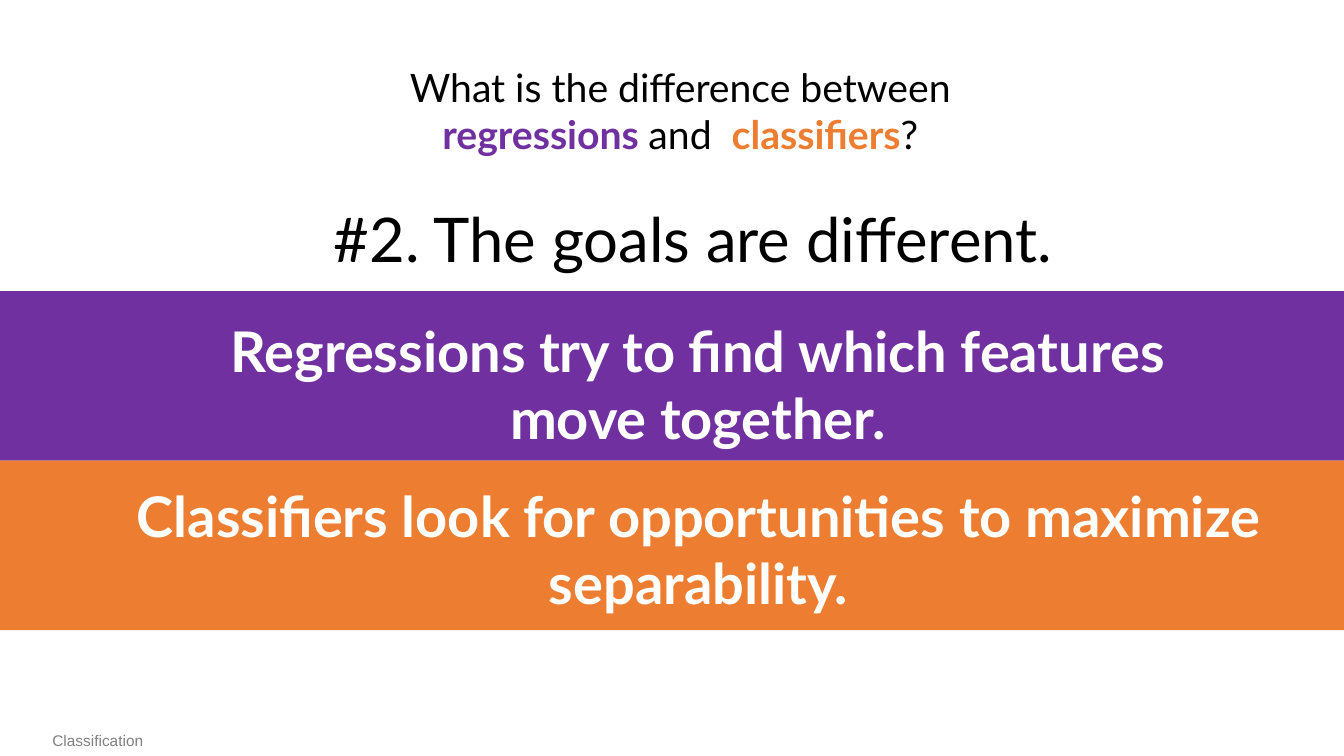
import pptx
import pptx.dml.color
import pptx.enum.shapes
import pptx.enum.text
import pptx.util

Cm = pptx.util.Cm
ALIGN = pptx.enum.text.PP_ALIGN

COLOURS = {
    "regression": "7030A0",
    "classifier": "ED7D31",
    "text": "000000",
    "light": "FFFFFF",
    "footer": "808080",
}


def colour(name):
    return pptx.dml.color.RGBColor.from_string(COLOURS[name])


class SlideBuilder:
    """Holds the text style and the current page."""

    font = "Lato"

    def __init__(self, page):
        self.page = page

    def band(self, top, width, height, fill):
        shape = self.page.shapes.add_shape(
            pptx.enum.shapes.MSO_SHAPE.RECTANGLE, 0, Cm(top), width, Cm(height))
        shape.shadow.inherit = False
        shape.fill.solid()
        shape.fill.fore_color.rgb = colour(fill)
        shape.line.fill.background()

    def text(self, place, paragraphs, size, align=ALIGN.CENTER, font=None, wrap=True):
        """Each paragraph is a list of (text, colour, bold) spans."""
        box = self.page.shapes.add_textbox(*(Cm(length) for length in place))
        frame = box.text_frame
        frame.word_wrap = wrap
        for index, spans in enumerate(paragraphs):
            para = frame.add_paragraph() if index else frame.paragraphs[0]
            para.alignment = align
            for words, tint, bold in spans:
                span = para.add_run()
                span.text = words
                span.font.name = font or self.font
                span.font.size = pptx.util.Pt(size)
                span.font.bold = bold
                span.font.color.rgb = colour(tint)


def main():
    deck = pptx.Presentation()
    deck.slide_width, deck.slide_height = Cm(33.87), Cm(19.05)
    builder = SlideBuilder(deck.slides.add_slide(deck.slide_layouts[6]))

    # Footer
    builder.text((1.07, 18.31, 5.77, 0.74), [[("Classification", "footer", False)]],
                 11, ALIGN.LEFT, "Arial")

    # Question
    builder.text((5.08, 1.47, 24.38, 2.64), [
        [("What is the difference between ", "text", False)],
        [("regressions ", "regression", True), ("and  ", "text", False),
         ("classifiers", "classifier", True), ("? ", "text", False)],
    ], 28)

    # Heading
    builder.text((4.34, 4.93, 26.26, 2.13),
                 [[("#2. The goals are different.", "text", False)]], 44)

    # Coloured bands, stacked without a gap
    band_top, band_height = 7.34, 4.27
    for row, fill in enumerate(("regression", "classifier")):
        builder.band(band_top + row * band_height, deck.slide_width, band_height, fill)

    # Goals
    builder.text((4.34, 7.85, 26.49, 5.38), [
        [("Regressions try to find which features move together.", "light", True)],
    ], 40)
    builder.text((3.1, 12.01, 29.01, 3.68), [
        [("Classifiers look for opportunities to maximize", "light", True)],
        [("separability.", "light", True)],
    ], 40, wrap=False)

    deck.save("out.pptx")


if __name__ == "__main__":
    main()
